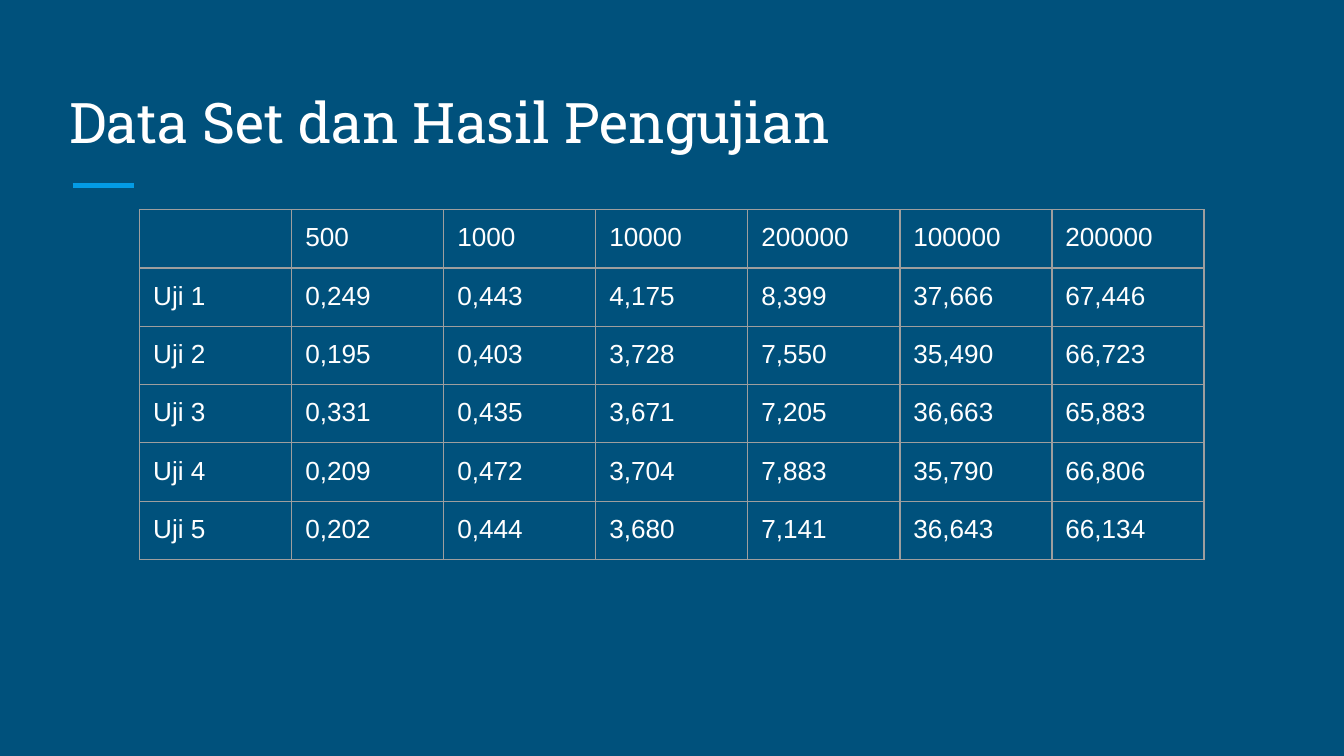
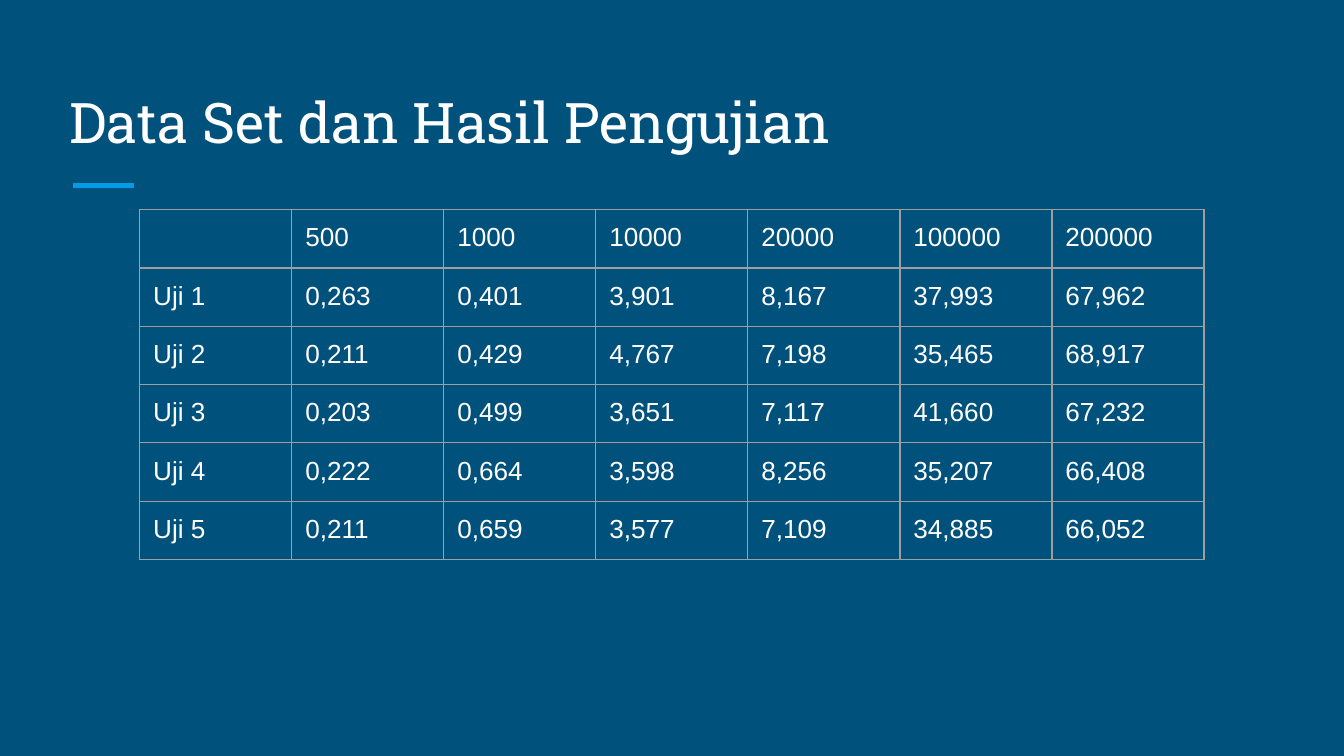
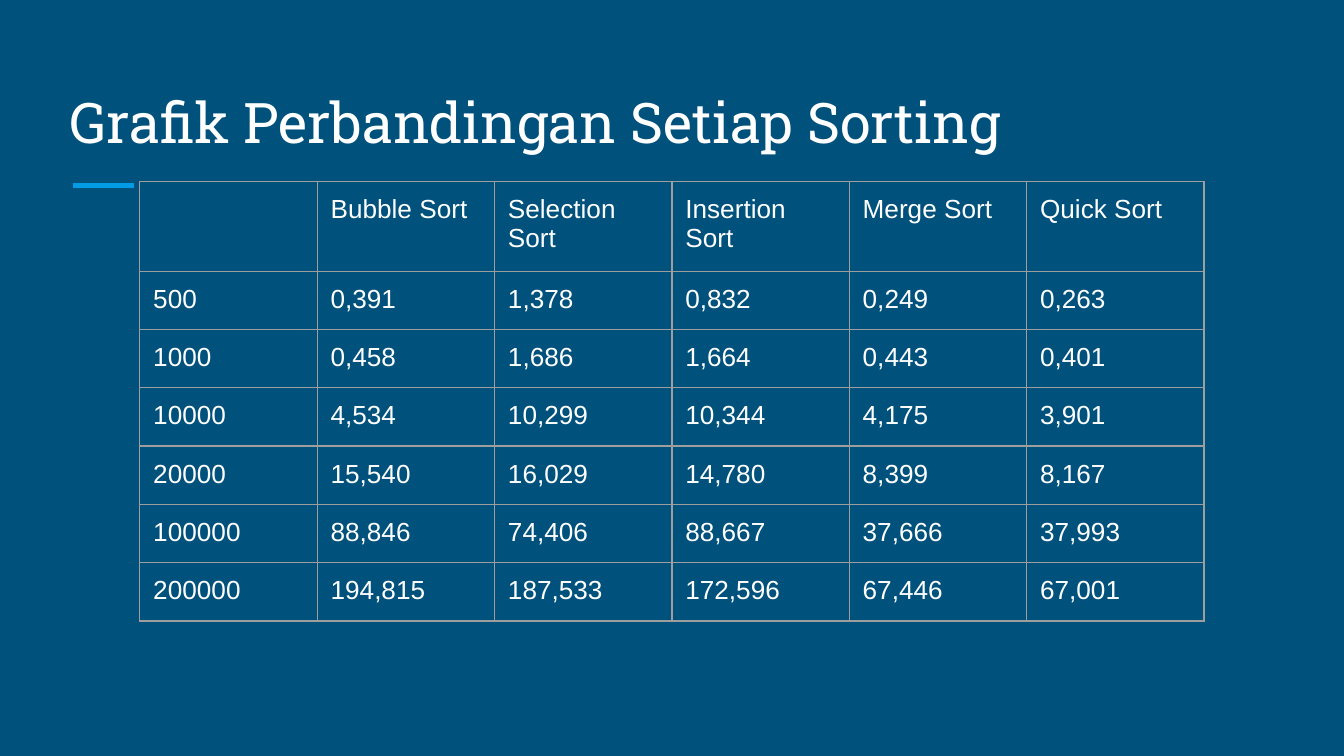
from dataclasses import dataclass

from lxml.etree import SubElement as Sub
from pptx import Presentation
from pptx.dml.color import RGBColor as Rgb
from pptx.enum.shapes import MSO_CONNECTOR as Link
from pptx.enum.text import MSO_ANCHOR as Anchor
from pptx.oxml.ns import qn
from pptx.util import Inches, Pt


@dataclass(frozen=True)
class Theme:
    back: str = "00517C"
    accent: str = "039BE5"
    text: str = "FFFFFF"
    grid: str = "9E9E9E"
    head_font: str = "Roboto Slab"
    body_font: str = "Arial"
    head_size: int = 30
    body_size: int = 14
    rule_width: float = 3
    grid_width: float = 0.75
    inset: float = 0.1


THEME = Theme()
LEFT, WIDTH, ROW = 1.04, 7.92, 5 / 12

MERGE = [
    ["", "500", "1000", "10000", "200000", "100000", "200000"],
    ["Uji 1", "0,249", "0,443", "4,175", "8,399", "37,666", "67,446"],
    ["Uji 2", "0,195", "0,403", "3,728", "7,550", "35,490", "66,723"],
    ["Uji 3", "0,331", "0,435", "3,671", "7,205", "36,663", "65,883"],
    ["Uji 4", "0,209", "0,472", "3,704", "7,883", "35,790", "66,806"],
    ["Uji 5", "0,202", "0,444", "3,680", "7,141", "36,643", "66,134"],
]
QUICK = [
    ["", "500", "1000", "10000", "20000", "100000", "200000"],
    ["Uji 1", "0,263", "0,401", "3,901", "8,167", "37,993", "67,962"],
    ["Uji 2", "0,211", "0,429", "4,767", "7,198", "35,465", "68,917"],
    ["Uji 3", "0,203", "0,499", "3,651", "7,117", "41,660", "67,232"],
    ["Uji 4", "0,222", "0,664", "3,598", "8,256", "35,207", "66,408"],
    ["Uji 5", "0,211", "0,659", "3,577", "7,109", "34,885", "66,052"],
]
SORTS = [
    ["", "Bubble Sort", "Selection Sort", "Insertion Sort", "Merge Sort", "Quick Sort"],
    ["500", "0,391", "1,378", "0,832", "0,249", "0,263"],
    ["1000", "0,458", "1,686", "1,664", "0,443", "0,401"],
    ["10000", "4,534", "10,299", "10,344", "4,175", "3,901"],
    ["20000", "15,540", "16,029", "14,780", "8,399", "8,167"],
    ["100000", "88,846", "74,406", "88,667", "37,666", "37,993"],
    ["200000", "194,815", "187,533", "172,596", "67,446", "67,001"],
]
TESTS = "Data Set dan Hasil Pengujian"
PAGES = [
    (TESTS, 1.56, 2.6, MERGE),
    (TESTS, 1.56, 2.6, QUICK),
    ("Grafik Perbandingan Setiap Sorting", 1.35, 3.27, SORTS),
]


def add_run(par, text, font, size):
    run = par.add_run()
    run.text = text
    run.font.name = font
    run.font.size = Pt(size)
    run.font.color.rgb = Rgb.from_string(THEME.text)


def set_inset(box):
    box.margin_left = box.margin_right = Inches(THEME.inset)
    box.margin_top = box.margin_bottom = Inches(THEME.inset)


def add_rule(slide):
    y = Inches(1.38)
    rule = slide.shapes.add_connector(Link.STRAIGHT, Inches(0.54), y, Inches(1), y)
    rule.line.color.rgb = Rgb.from_string(THEME.accent)
    rule.line.width = Pt(THEME.rule_width)
    Sub(rule._element.spPr, qn("a:effectLst"))


def add_title(slide, text):
    box = slide.shapes.add_textbox(Inches(0.42), Inches(0.5), Inches(9.15), Inches(0.75))
    frame = box.text_frame
    frame.word_wrap = True
    frame.vertical_anchor = Anchor.BOTTOM
    set_inset(frame)
    add_run(frame.paragraphs[0], text, THEME.head_font, THEME.head_size)


def add_grid(cell):
    props = cell._tc.get_or_add_tcPr()
    for side in ("lnL", "lnR", "lnT", "lnB"):
        line = Sub(props, qn(f"a:{side}"), w=str(Pt(THEME.grid_width)))
        Sub(Sub(line, qn("a:solidFill")), qn("a:srgbClr"), val=THEME.grid)


def fill_cell(cell, text):
    set_inset(cell)
    add_grid(cell)
    cell.fill.background()
    par = cell.text_frame.paragraphs[0]
    par.line_spacing = 1.0
    if text:
        add_run(par, text, THEME.body_font, THEME.body_size)
    end = Sub(par._p, qn("a:endParaRPr"), sz=str(THEME.body_size * 100))
    Sub(end, qn("a:latin"), typeface=THEME.body_font)


def add_table(slide, top, height, data):
    rows, cols = len(data), len(data[0])
    frame = slide.shapes.add_table(
        rows, cols, Inches(LEFT), Inches(top), Inches(WIDTH), Inches(ROW * rows)
    )
    frame.height = Inches(height)
    table = frame.table
    table.first_row = table.horz_banding = False
    for r, row in enumerate(data):
        for c, text in enumerate(row):
            fill_cell(table.cell(r, c), text)


def add_page(deck, title, top, height, data):
    slide = deck.slides.add_slide(deck.slide_layouts[6])
    fill = slide.background.fill
    fill.solid()
    fill.fore_color.rgb = Rgb.from_string(THEME.back)
    add_rule(slide)
    add_title(slide, title)
    add_table(slide, top, height, data)


def main():
    deck = Presentation()
    deck.slide_width, deck.slide_height = Inches(10), Inches(10 * 9 / 16)
    for page in PAGES:
        add_page(deck, *page)
    deck.save("out.pptx")


if __name__ == "__main__":
    main()
